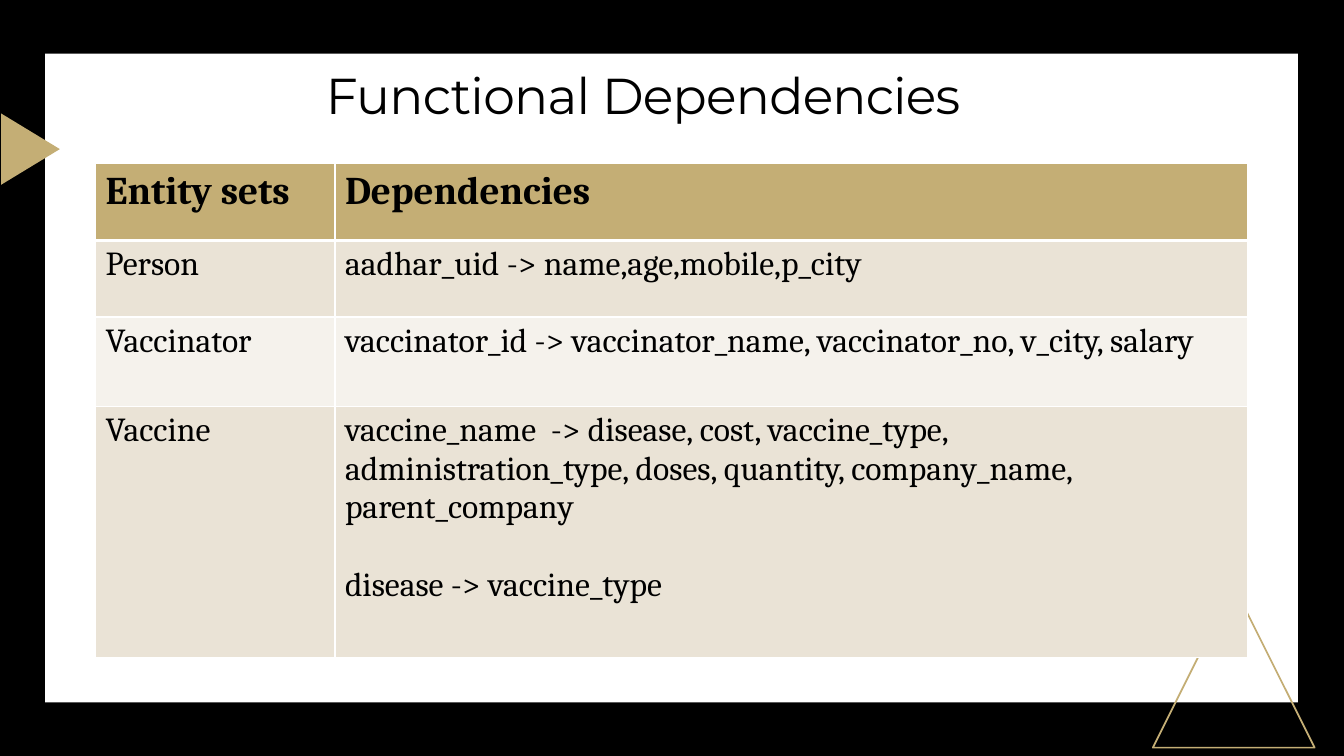
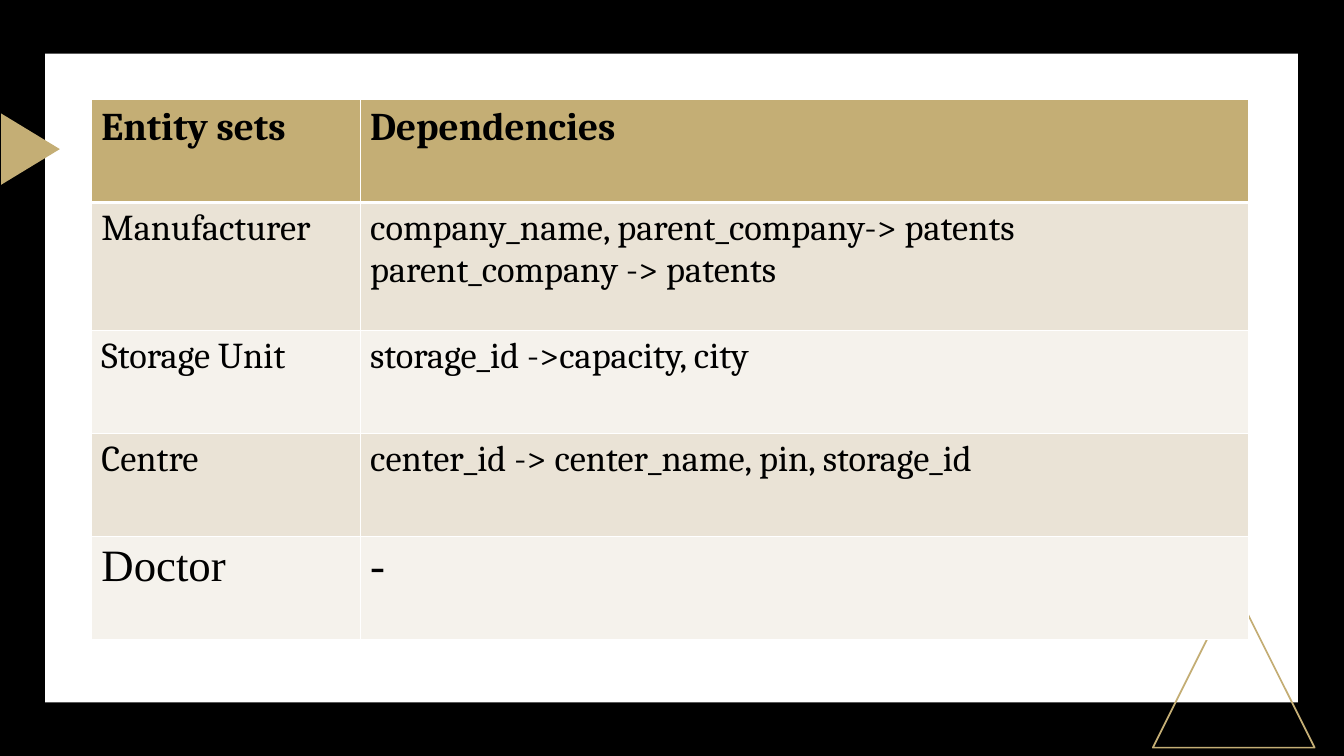
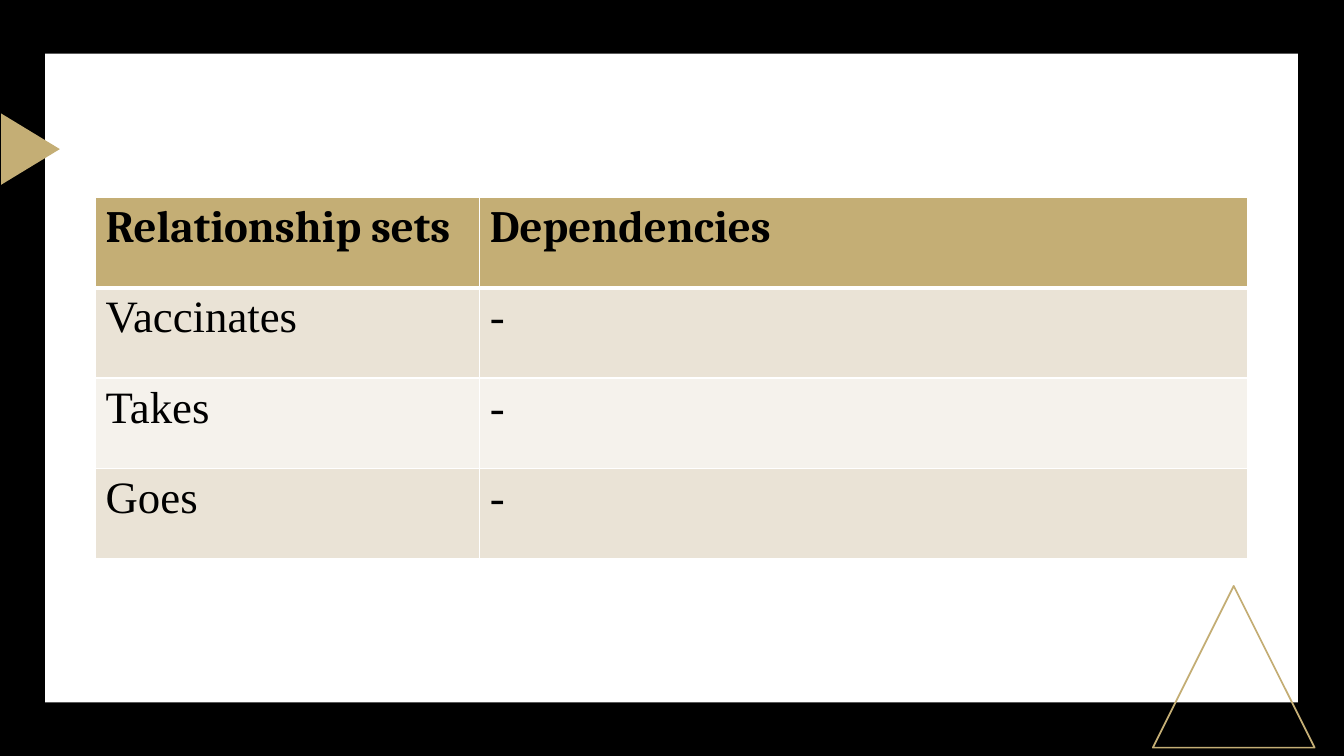
"""Build three slides of functional dependency tables."""

from dataclasses import dataclass

from lxml.etree import SubElement
from pptx import Presentation
from pptx.dml.color import RGBColor
from pptx.enum.shapes import MSO_SHAPE as Preset
from pptx.enum.text import MSO_ANCHOR as Anchor
from pptx.oxml.ns import qn
from pptx.slide import Slide
from pptx.table import _Cell as Cell
from pptx.util import Emu, Pt

EMU_PER_PX = 9525
BLACK = RGBColor(0x00, 0x00, 0x00)
WHITE = RGBColor(0xFF, 0xFF, 0xFF)
GOLD = RGBColor(0xC4, 0xAE, 0x75)
SAND = RGBColor(0xEA, 0xE3, 0xD6)
CREAM = RGBColor(0xF5, 0xF2, 0xEC)
SERIF = "Cambria"
TIMES = "Times New Roman"
TITLE_FONT = "Montserrat"


@dataclass(frozen=True)
class Decoration:
    preset: Preset
    box: tuple[int, int, int, int]
    fill: RGBColor | None = None
    line: RGBColor | None = None
    rotation: int = 0


@dataclass(frozen=True)
class Row:
    entity: str
    dependencies: str
    height: int
    size: int
    font: str = SERIF
    paragraph_gap: float = 0


@dataclass(frozen=True)
class Page:
    left: int
    top: int
    columns: tuple[int, int]
    rows: tuple[Row, ...]
    title: str = ""


DECORATIONS = (
    Decoration(Preset.RECTANGLE, (43, 51, 1193, 618), fill=WHITE),
    Decoration(Preset.ISOSCELES_TRIANGLE, (1098, 558, 154, 154), line=GOLD),
    Decoration(Preset.ISOSCELES_TRIANGLE, (-5, 114, 68, 56), fill=GOLD, rotation=90),
)

PAGES = (
    Page(91, 156, (228, 869), (
        Row("Entity sets", "Dependencies", 73, 28),
        Row("Person", "aadhar_uid -> name,age,mobile,p_city", 73, 24),
        Row("Vaccinator",
            "vaccinator_id -> vaccinator_name, vaccinator_no, v_city, salary", 85, 24),
        Row("Vaccine",
            "vaccine_name  -> disease, cost, vaccine_type, administration_type, "
            "doses, quantity, company_name, parent_company\n"
            "disease -> vaccine_type", 239, 24, paragraph_gap=27.5),
    ), "Functional Dependencies"),
    Page(87, 95, (256, 846), (
        Row("Entity sets", "Dependencies", 98, 28),
        Row("Manufacturer",
            "company_name, parent_company-> patents\nparent_company -> patents", 122, 26),
        Row("Storage Unit", "storage_id ->capacity, city", 98, 26),
        Row("Centre", "center_id -> center_name, pin, storage_id", 98, 26),
        Row("Doctor", "-", 98, 32, TIMES),
    )),
    Page(91, 188, (366, 731), (
        Row("Relationship sets", "Dependencies", 86, 32),
        *(Row(name, "-", 86, 32, TIMES) for name in ("Vaccinates", "Takes", "Goes")),
    )),
)


def px(length: int) -> Emu:
    return Emu(length * EMU_PER_PX)


def draw_decoration(slide: Slide, decoration: Decoration) -> None:
    shape = slide.shapes.add_shape(decoration.preset, *map(px, decoration.box))
    shape.shadow.inherit = False
    shape.rotation = decoration.rotation
    if decoration.fill is None:
        shape.fill.background()
    else:
        shape.fill.solid()
        shape.fill.fore_color.rgb = decoration.fill
    if decoration.line is None:
        shape.line.fill.background()
    else:
        shape.line.color.rgb = decoration.line
        shape.line.width = Pt(1.25)


def draw_title(slide: Slide, title: str) -> None:
    frame = slide.shapes.add_textbox(*map(px, (301, 46, 677, 96))).text_frame
    frame.word_wrap = True
    frame.vertical_anchor = Anchor.MIDDLE
    frame.text = title
    heading = frame.paragraphs[0]
    heading.line_spacing = 0.9
    font = heading.runs[0].font
    font.name, font.size, font.color.rgb = TITLE_FONT, Pt(36), BLACK
    heading.runs[0]._r.get_or_add_rPr().set("spc", "-50")


def set_borders(cell: Cell, row_index: int) -> None:
    properties = cell._tc.get_or_add_tcPr()
    widths = {"L": 1, "R": 1, "T": 3 if row_index == 1 else 1, "B": 3 if row_index == 0 else 1}
    for side, width in widths.items():
        border = SubElement(properties, qn(f"a:ln{side}"), w=str(Pt(width)))
        fill = SubElement(border, qn("a:solidFill"))
        SubElement(fill, qn("a:srgbClr"), val=str(WHITE))


def fill_cell(cell: Cell, text: str, row: Row, row_index: int) -> None:
    set_borders(cell, row_index)
    cell.fill.solid()
    cell.fill.fore_color.rgb = GOLD if row_index == 0 else SAND if row_index % 2 else CREAM
    cell.text_frame.text = text
    for index, paragraph in enumerate(cell.text_frame.paragraphs):
        if index and row.paragraph_gap:
            paragraph.space_before = Pt(row.paragraph_gap)
        font = paragraph.runs[0].font
        font.name, font.size, font.color.rgb = row.font, Pt(row.size), BLACK
        font.bold = row_index == 0


def draw_table(slide: Slide, page: Page) -> None:
    width, height = sum(page.columns), sum(row.height for row in page.rows)
    table = slide.shapes.add_table(
        len(page.rows), len(page.columns), *map(px, (page.left, page.top, width, height))
    ).table
    for column, column_width in zip(table.columns, page.columns):
        column.width = px(column_width)
    for row_index, row in enumerate(page.rows):
        table.rows[row_index].height = px(row.height)
        for column_index, text in enumerate((row.entity, row.dependencies)):
            fill_cell(table.cell(row_index, column_index), text, row, row_index)


def main() -> None:
    deck = Presentation()
    deck.slide_width, deck.slide_height = px(1280), px(720)
    for page in PAGES:
        slide = deck.slides.add_slide(deck.slide_layouts[6])
        slide.background.fill.solid()
        slide.background.fill.fore_color.rgb = BLACK
        for decoration in DECORATIONS:
            draw_decoration(slide, decoration)
        draw_table(slide, page)
        if page.title:
            draw_title(slide, page.title)
    deck.save("out.pptx")


if __name__ == "__main__":
    main()
